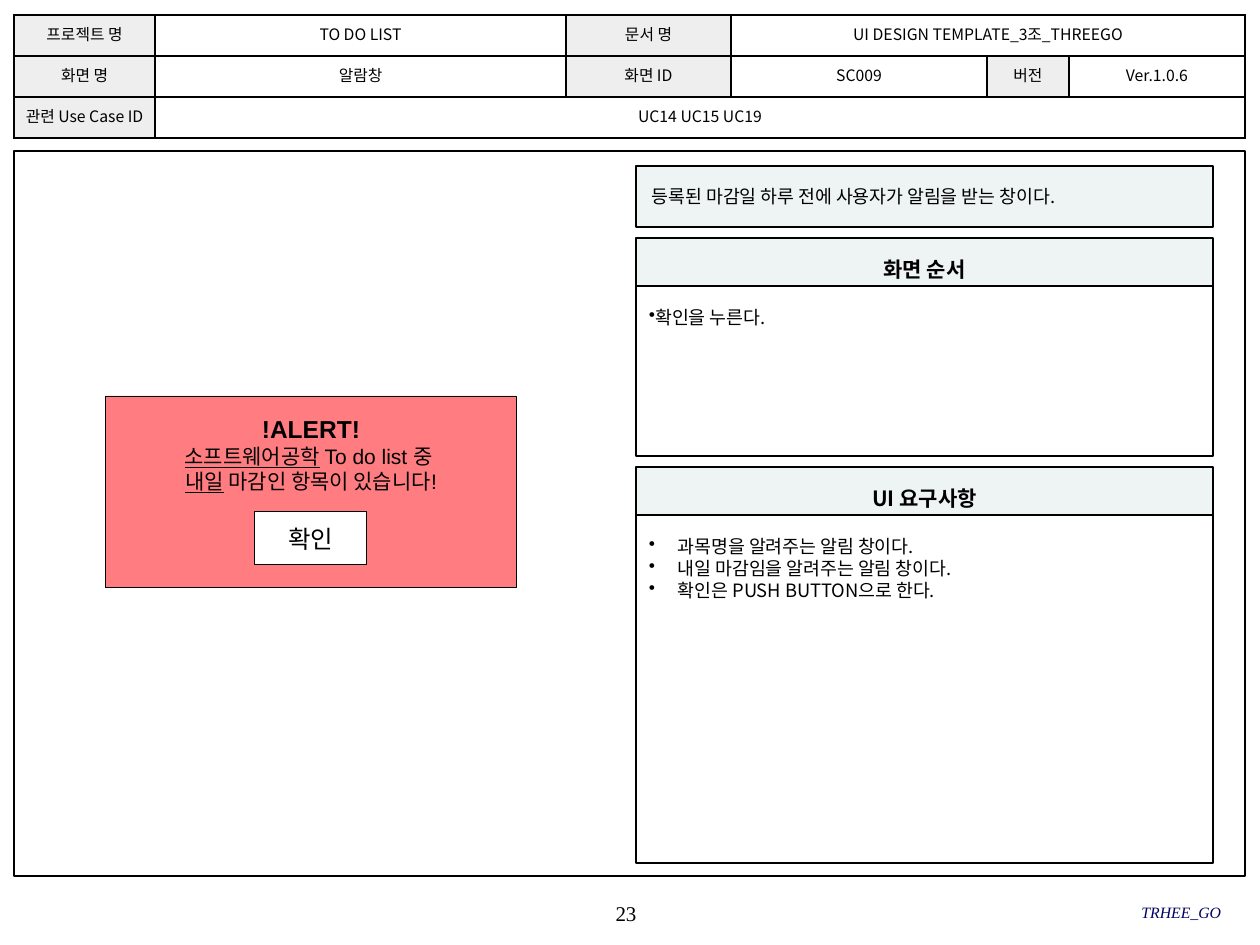
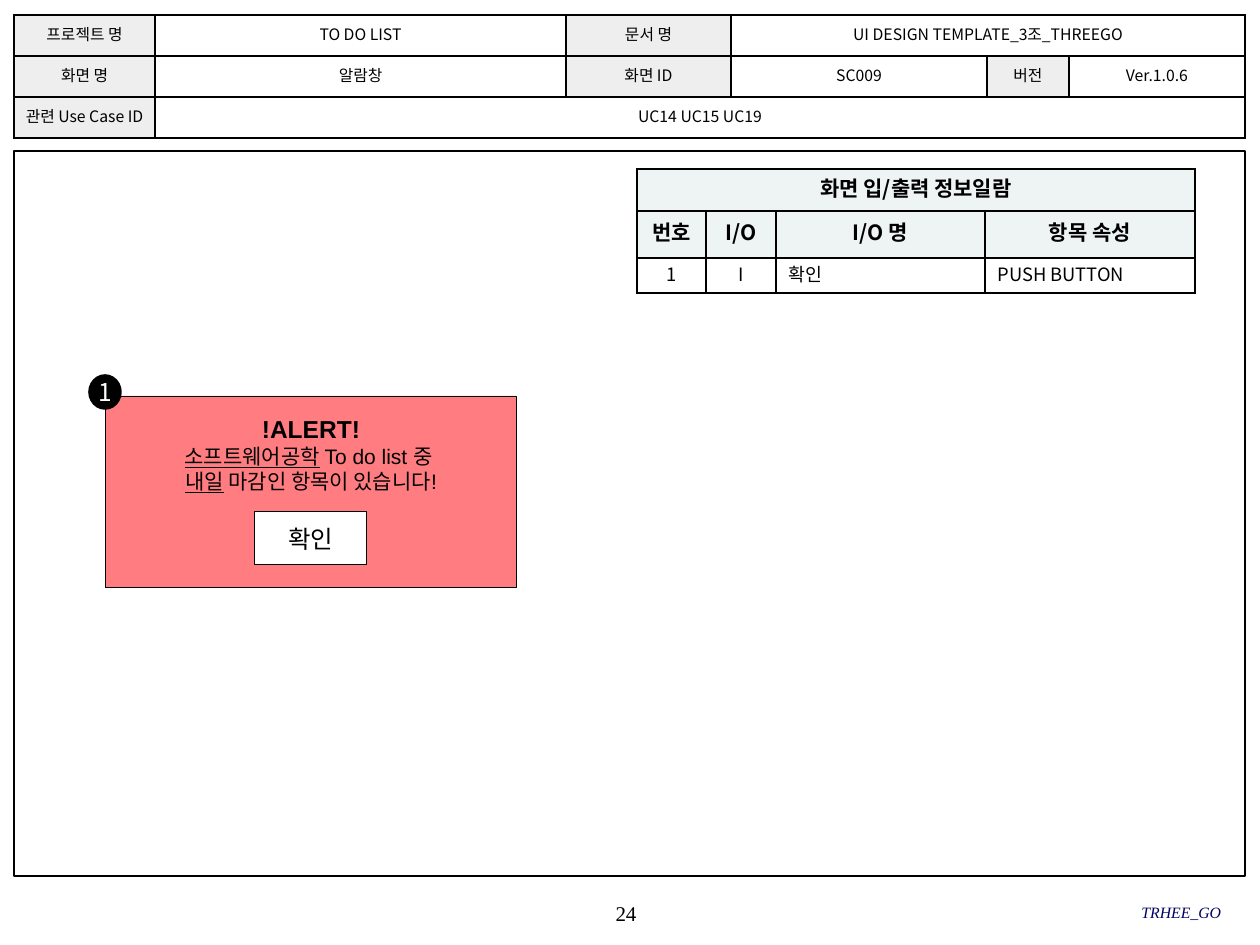
from dataclasses import dataclass, field
from typing import NamedTuple

from lxml import etree
from pptx import Presentation
from pptx.dml.color import RGBColor
from pptx.enum.shapes import MSO_SHAPE
from pptx.enum.text import MSO_ANCHOR, PP_ALIGN
from pptx.oxml.ns import qn
from pptx.util import Emu, Pt

RECT, OVAL = MSO_SHAPE.RECTANGLE, MSO_SHAPE.OVAL
TOP, MIDDLE = MSO_ANCHOR.TOP, MSO_ANCHOR.MIDDLE
LEFT, CENTER, RIGHT, JUSTIFY = (PP_ALIGN.LEFT, PP_ALIGN.CENTER,
                                PP_ALIGN.RIGHT, PP_ALIGN.JUSTIFY)

PX_PER_INCH = 126
COLORS = {"black": "000000", "white": "FFFFFF", "label": "EEEEEE",
          "panel": "EEF4F4", "alert": "FF7C80", "team": "000066"}
SANS, SERIF, LATIN = "Noto Sans CJK KR", "Times New Roman", "Arial"
LEADING = 1.2

BODY = {"name": SANS, "size": 10.5}
HEADING = {"name": SANS, "size": 12, "bold": True}
SMALL = {"name": SANS, "size": 9}
BUTTON = {"name": SANS, "size": 14}
PAGE = {"name": SERIF, "size": 12}
TEAM = {"name": SERIF, "size": 9, "italic": True}
ALERT_TITLE = {"name": LATIN, "size": 14, "bold": True}
ALERT_TEXT = {"name": LATIN, "size": 12}
ALERT_MARK = {**ALERT_TEXT, "underline": True}


class Run(NamedTuple):
    """A piece of text with its format values."""
    text: str
    fmt: dict
    color: str = "black"


@dataclass
class Box:
    """A shape with its place, look and paragraphs."""
    left: int
    top: int
    width: int
    height: int
    paras: list[list[Run]] = field(default_factory=list)
    fill: str | None = None
    line: float = 0
    align: PP_ALIGN = CENTER
    anchor: MSO_ANCHOR = MIDDLE
    insets: tuple[int, int, int, int] = (0, 0, 0, 0)
    bullet_indent: int | None = None
    kind: MSO_SHAPE = RECT


class Cell(NamedTuple):
    """A table cell at a row and column."""
    row: int
    col: int
    text: str
    fmt: dict
    fill: str | None = None
    span: int = 1
    align: PP_ALIGN = CENTER


class Grid(NamedTuple):
    """A table with its place, track sizes and cells."""
    left: int
    top: int
    cols: list[int]
    rows: list[int]
    cells: list[Cell]
    insets: tuple[int, int, int, int]


class Panel(NamedTuple):
    """A titled panel with a bulleted body."""
    top: int
    body_height: int
    title: str
    items: list[str]
    indent: int


def px(n: float) -> Emu:
    """Turn pixels into EMU."""
    return Emu(round(n * 914400 / PX_PER_INCH))


def rgb(name: str) -> RGBColor:
    """Look up a colour."""
    return RGBColor.from_string(COLORS[name])


def set_fill(target, name: str | None) -> None:
    """Fill a shape or cell, or leave it clear."""
    if name:
        target.fill.solid()
        target.fill.fore_color.rgb = rgb(name)
    else:
        target.fill.background()


def set_insets(target, insets: tuple[int, int, int, int]) -> None:
    """Set left, top, right and bottom margins."""
    for side, value in zip(("left", "top", "right", "bottom"), insets):
        setattr(target, f"margin_{side}", px(value))


def add_bullet(p, indent: int) -> None:
    """Give a paragraph a hanging bullet."""
    pPr = p._p.get_or_add_pPr()
    pPr.set("marL", str(px(indent)))
    pPr.set("indent", str(-px(indent)))
    etree.SubElement(pPr, qn("a:buChar"), char="•")


def write(tf, paras: list[list[Run]], align: PP_ALIGN,
          bullet_indent: int | None = None) -> None:
    """Write formatted paragraphs into a text frame."""
    for i, runs in enumerate(paras):
        p = tf.add_paragraph() if i else tf.paragraphs[0]
        if bullet_indent is not None:
            add_bullet(p, bullet_indent)
        p.alignment = align
        p.line_spacing = Pt(LEADING * max(run.fmt["size"] for run in runs))
        for run in runs:
            r = p.add_run()
            r.text = run.text
            for key, value in run.fmt.items():
                setattr(r.font, key, Pt(value) if key == "size" else value)
            r.font.color.rgb = rgb(run.color)
            etree.SubElement(r._r.get_or_add_rPr(), qn("a:ea"), typeface=SANS)


def draw_box(s, box: Box) -> None:
    """Draw a shape and its text."""
    place = [px(n) for n in (box.left, box.top, box.width, box.height)]
    if box.fill or box.line:
        sp = s.shapes.add_shape(box.kind, *place)
        sp.shadow.inherit = False
        set_fill(sp, box.fill)
        if box.line:
            sp.line.color.rgb = rgb("black")
            sp.line.width = Pt(box.line)
        else:
            sp.line.fill.background()
    else:
        sp = s.shapes.add_textbox(*place)
    tf = sp.text_frame
    tf.word_wrap = True
    tf.vertical_anchor = box.anchor
    set_insets(tf, box.insets)
    write(tf, box.paras, box.align, box.bullet_indent)


def add_borders(cell) -> None:
    """Give a cell four black borders."""
    tcPr = cell._tc.get_or_add_tcPr()
    for side in "LRTB":
        ln = etree.SubElement(tcPr, qn(f"a:ln{side}"), w=str(Pt(1)))
        fill = etree.SubElement(ln, qn("a:solidFill"))
        etree.SubElement(fill, qn("a:srgbClr"), val=COLORS["black"])


def draw_grid(s, grid: Grid) -> None:
    """Draw a table."""
    table = s.shapes.add_table(
        len(grid.rows), len(grid.cols), px(grid.left), px(grid.top),
        px(sum(grid.cols)), px(sum(grid.rows))).table
    table.first_row = table.horz_banding = False
    for col, width in zip(table.columns, grid.cols):
        col.width = px(width)
    for row, height in zip(table.rows, grid.rows):
        row.height = px(height)
    for tc in table.iter_cells():
        add_borders(tc)
        set_fill(tc, None)
    for cell in grid.cells:
        tc = table.cell(cell.row, cell.col)
        if cell.span > 1:
            tc.merge(table.cell(cell.row, cell.col + cell.span - 1))
        set_fill(tc, cell.fill)
        set_insets(tc, grid.insets)
        tc.vertical_anchor = MIDDLE
        write(tc.text_frame, [[Run(cell.text, cell.fmt)]], cell.align)


def draw_panel(s, panel: Panel) -> None:
    """Draw a panel title above its body."""
    title_height = 48
    draw_box(s, Box(636, panel.top, 577, title_height,
                    [[Run(panel.title, HEADING)]], "panel", 1,
                    anchor=TOP, insets=(13, 19, 13, 6)))
    draw_box(s, Box(636, panel.top + title_height, 577, panel.body_height,
                    [[Run(item, BODY)] for item in panel.items], "white", 1,
                    JUSTIFY, TOP, (13, 20, 13, 6), panel.indent))


def label(row: int, col: int, text: str) -> Cell:
    """Make a grey header label."""
    return Cell(row, col, text, SMALL, "label")


HEADER = Grid(14, 15, [141, 411, 165, 256, 82, 176], [41] * 3, [
    label(0, 0, "프로젝트 명"),
    Cell(0, 1, "TO DO LIST", SMALL),
    label(0, 2, "문서 명"),
    Cell(0, 3, "UI DESIGN TEMPLATE_3조_THREEGO", SMALL, span=3),
    label(1, 0, "화면 명"),
    Cell(1, 1, "알람창", SMALL),
    label(1, 2, "화면 ID"),
    Cell(1, 3, "SC009", SMALL),
    label(1, 4, "버전"),
    Cell(1, 5, "Ver.1.0.6", SMALL),
    label(2, 0, "관련 Use Case ID"),
    Cell(2, 1, "UC14 UC15 UC19", SMALL, span=5),
], (5, 3, 5, 3))

IO_TABLE = Grid(637, 169, [69, 70, 209, 210], [42, 47, 35], [
    Cell(0, 0, "화면 입/출력 정보일람", HEADING, "panel", 4),
    *(Cell(1, i, text, HEADING, "panel")
      for i, text in enumerate(["번호", "I/O", "I/O 명", "항목 속성"])),
    *(Cell(2, i, text, BODY, "white", align=CENTER if i < 2 else LEFT)
      for i, text in enumerate(["1", "I", "확인", "PUSH BUTTON"])),
], (13, 6, 13, 6))

ALERT = [
    Box(105, 396, 411, 192, fill="alert", line=0.5),
    Box(255, 512, 112, 53, [[Run("확인", BUTTON)]], "white", 0.5),
    Box(125, 408, 372, 93, [
        [Run("!ALERT!", ALERT_TITLE)],
        [Run("소프트웨어공학", ALERT_MARK), Run(" To do list 중 ", ALERT_TEXT)],
        [Run("내일", ALERT_MARK), Run(" 마감인 항목이 있습니다!", ALERT_TEXT)],
    ], "alert", anchor=TOP, insets=(13, 6, 13, 6)),
]

SUMMARY = Box(636, 166, 577, 61,
              [[Run("등록된 마감일 하루 전에 사용자가 알림을 받는 창이다.", BODY)]],
              "panel", 1, JUSTIFY, TOP, (16, 19, 13, 6))

PANELS = [
    Panel(238, 170, "화면 순서", ["확인을 누른다."], 0),
    Panel(467, 348, "UI 요구사항", [
        "과목명을 알려주는 알림 창이다.",
        "내일 마감임을 알려주는 알림 창이다.",
        "확인은 PUSH BUTTON으로 한다.",
    ], 29),
]

MARKER = Box(90, 376, 30, 32, [[Run("1", BUTTON, "white")]], "black", 2,
             kind=OVAL)


def add_page(prs, number: int):
    """Add a slide with the frame, footer, header table and alert."""
    s = prs.slides.add_slide(prs.slide_layouts[6])
    frame = Box(14, 151, 1231, 725, line=0.75)
    page = Box(495, 892, 262, 42, [[Run(str(number), PAGE)]])
    team = Box(835, 891, 386, 42, [[Run("TRHEE_GO", TEAM, "team")]],
               align=RIGHT)
    for box in (frame, page, team, *ALERT):
        draw_box(s, box)
    draw_grid(s, HEADER)
    return s


def main() -> None:
    """Build the two slides."""
    prs = Presentation()
    prs.slide_width, prs.slide_height = px(1260), px(945)

    s = add_page(prs, 23)
    draw_box(s, SUMMARY)
    for panel in PANELS:
        draw_panel(s, panel)

    s = add_page(prs, 24)
    draw_grid(s, IO_TABLE)
    draw_box(s, MARKER)

    prs.save("out.pptx")


if __name__ == "__main__":
    main()
